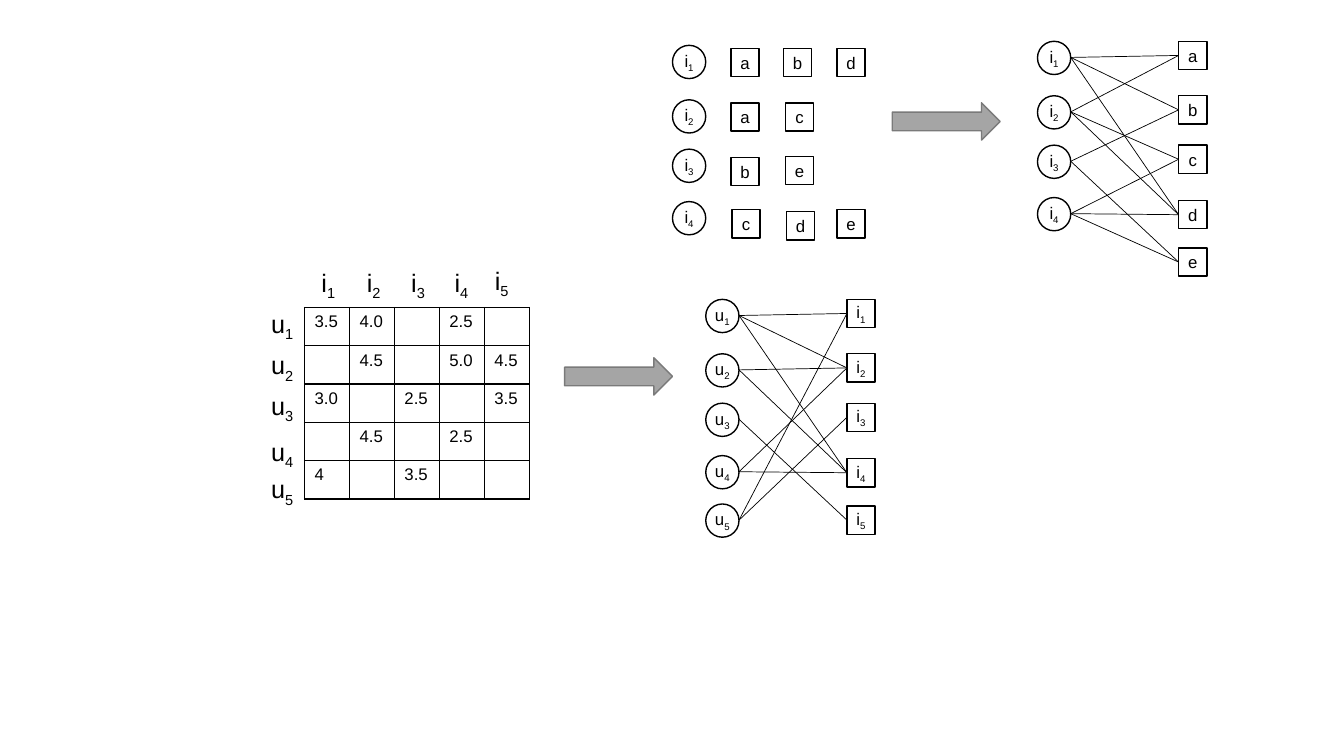
from pptx import Presentation
from pptx.dml.color import RGBColor
from pptx.enum.shapes import MSO_CONNECTOR, MSO_SHAPE
from pptx.enum.text import MSO_ANCHOR, MSO_AUTO_SIZE, PP_ALIGN
from pptx.oxml.xmlchemy import OxmlElement
from pptx.util import Pt

PX = 9144
BLACK = RGBColor(0x00, 0x00, 0x00)
WHITE = RGBColor(0xFF, 0xFF, 0xFF)
GRAY = RGBColor(0xA5, 0xA5, 0xA5)
DARK_GRAY = RGBColor(0x7A, 0x7A, 0x7A)

CIRCLE, SQUARE = 33, 28
CIRCLE_TOPS = [0, 54, 103, 155, 203]
SQUARE_TOPS = [0, 54, 103, 158, 205]
USERS = ["u1", "u2", "u3", "u4", "u5"]
ITEMS = ["i1", "i2", "i3", "i4", "i5"]
ATTRIBUTES = ["a", "b", "c", "d", "e"]
RATINGS = [
    ["3.5", "4.0", "", "2.5", ""],
    ["", "4.5", "", "5.0", "4.5"],
    ["3.0", "", "2.5", "", "3.5"],
    ["", "4.5", "", "2.5", ""],
    ["4", "", "3.5", "", ""],
]
USER_EDGES = {"u1": ["i1", "i2", "i4"], "u2": ["i2", "i4"], "u3": ["i5"],
              "u4": ["i2", "i4"], "u5": ["i1", "i3"]}
ITEM_EDGES = {"i1": "abd", "i2": "acd", "i3": "be", "i4": "cde"}
ITEM_LISTS = [
    ("i1", [("a", 58, 3), ("b", 110, 3), ("d", 163, 3)]),
    ("i2", [("a", 58, 57), ("c", 112, 57)]),
    ("i3", [("b", 58, 111), ("e", 112, 110)]),
    ("i4", [("c", 59, 163), ("d", 113, 165), ("e", 163, 163)]),
]


def px(*lengths):
    """Turn px lengths into EMU."""
    return [n * PX for n in lengths]


def add_label(p, label, size):
    """Write a letter followed by its subscript index, if any."""
    for text, baseline in ((label[0], None), (label[1:], "-25000")):
        if text:
            r = p.add_run()
            r.text = text
            for name, value in {"name": "Arial", "size": Pt(size)}.items():
                setattr(r.font, name, value)
            r.font.color.rgb = BLACK
            if baseline:
                r._r.get_or_add_rPr().set("baseline", baseline)


def add_box(slide, kind, box, fill=WHITE, line=BLACK):
    """Add a filled and outlined preset shape."""
    sp = slide.shapes.add_shape(kind, *px(*box))
    sp.shadow.inherit = False
    sp.fill.solid()
    sp.fill.fore_color.rgb = fill
    sp.line.color.rgb = line
    sp.line.width = Pt(1)
    return sp


def add_node(slide, kind, label, x, y, size):
    """Add a labelled graph node."""
    tf = add_box(slide, kind, (x, y, size, size)).text_frame
    for name, value in {"word_wrap": False, "vertical_anchor": MSO_ANCHOR.MIDDLE}.items():
        setattr(tf, name, value)
    p = tf.paragraphs[0]
    p.alignment = PP_ALIGN.CENTER
    add_label(p, label, 12)


def add_edge(slide, x1, y1, x2, y2):
    """Add a thin line between two nodes."""
    cxn = slide.shapes.add_connector(MSO_CONNECTOR.STRAIGHT, *px(x1, y1, x2, y2))
    cxn.line.color.rgb = BLACK
    cxn.line.width = Pt(0.5)
    cxn._element.spPr.append(OxmlElement("a:effectLst"))


def add_bipartite_graph(slide, x, y, sources, targets, edges):
    """Draw circles on the left, squares on the right and the edges between."""
    right = x + 140
    for label, top in zip(sources, CIRCLE_TOPS):
        add_node(slide, MSO_SHAPE.OVAL, label, x, y + top, CIRCLE)
    for label, top in zip(targets, SQUARE_TOPS):
        add_node(slide, MSO_SHAPE.RECTANGLE, label, right, y + top, SQUARE)
    for source, ends in edges.items():
        start = y + CIRCLE_TOPS[sources.index(source)] + CIRCLE // 2
        for target in ends:
            end = y + SQUARE_TOPS[targets.index(target)] + SQUARE // 2
            add_edge(slide, x + CIRCLE, start, right, end)


def add_item_lists(slide, x, y):
    """Draw each item with the attributes it holds."""
    for (item, attributes), top in zip(ITEM_LISTS, CIRCLE_TOPS):
        add_node(slide, MSO_SHAPE.OVAL, item, x, y + top, CIRCLE)
        for label, dx, dy in attributes:
            add_node(slide, MSO_SHAPE.RECTANGLE, label, x + dx, y + dy, SQUARE)


def add_heading(slide, label, x, y, width):
    """Add a row or column heading of the rating matrix."""
    tf = slide.shapes.add_textbox(*px(x, y, width, 40)).text_frame
    tf.word_wrap = False
    tf.auto_size = MSO_AUTO_SIZE.SHAPE_TO_FIT_TEXT
    add_label(tf.paragraphs[0], label, 18)


def add_cell_borders(cell):
    """Outline a table cell in black."""
    tcPr = cell._tc.get_or_add_tcPr()
    for i, side in enumerate(("a:lnL", "a:lnR", "a:lnT", "a:lnB")):
        ln = OxmlElement(side)
        ln.set("w", str(Pt(1)))
        solid = OxmlElement("a:solidFill")
        color = OxmlElement("a:srgbClr")
        color.set("val", str(BLACK))
        solid.append(color)
        ln.append(solid)
        tcPr.insert(i, ln)


def add_rating_matrix(slide, x, y):
    """Draw the user by item rating table with its headings."""
    table = slide.shapes.add_table(5, 5, *px(x, y, 223, 190)).table
    table.first_row = table.horz_banding = False
    for i, row in enumerate(RATINGS):
        for j, rating in enumerate(row):
            cell = table.cell(i, j)
            cell.fill.solid()
            cell.fill.fore_color.rgb = WHITE
            add_cell_borders(cell)
            p = cell.text_frame.paragraphs[0]
            if rating:
                r = p.add_run()
                r.text = rating
                for name, value in {"name": "Arial", "size": Pt(12)}.items():
                    setattr(r.font, name, value)
                r.font.color.rgb = BLACK
            else:
                p._p.get_or_add_endParaRPr().set("sz", "1200")
    for label, dy in zip(USERS, (-4, 37, 77, 123, 160)):
        add_heading(slide, label, x - 43, y + dy, 44)
    for label, dx, dy in zip(ITEMS, (7, 52, 96, 139, 179), (-45, -45, -45, -45, -47)):
        add_heading(slide, label, x + dx, y + dy, 35)


def add_arrow(slide, x, y):
    """Add a gray block arrow pointing right."""
    add_box(slide, MSO_SHAPE.RIGHT_ARROW, (x, y, 107, 37), GRAY, DARK_GRAY)


def main():
    """Build the slide and save it."""
    prs = Presentation()
    prs.slide_width, prs.slide_height = px(1333, 750)
    slide = prs.slides.add_slide(prs.slide_layouts[6])
    add_rating_matrix(slide, 302, 305)
    add_arrow(slide, 560, 355)
    add_bipartite_graph(slide, 700, 297, USERS, ITEMS, USER_EDGES)
    add_item_lists(slide, 667, 45)
    add_arrow(slide, 885, 102)
    add_bipartite_graph(slide, 1029, 41, ITEMS[:4], ATTRIBUTES, ITEM_EDGES)
    prs.save("out.pptx")


if __name__ == "__main__":
    main()
